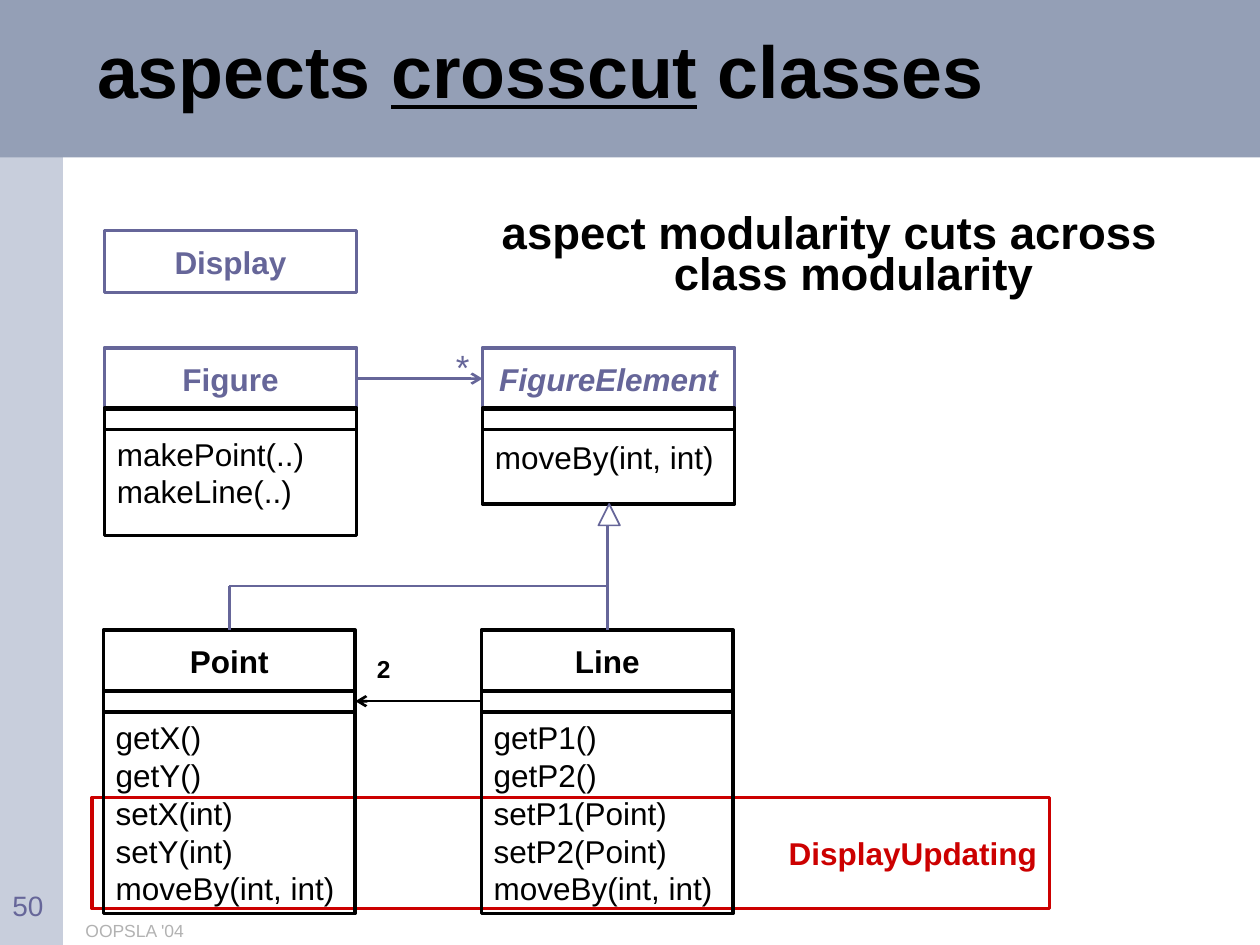
from lxml.etree import SubElement
from pptx import Presentation
from pptx.dml.color import RGBColor
from pptx.enum.shapes import MSO_CONNECTOR, MSO_SHAPE
from pptx.enum.text import MSO_ANCHOR as Anchor, MSO_AUTO_SIZE, PP_ALIGN as Align
from pptx.oxml.ns import qn
from pptx.util import Inches, Pt

BLACK = RGBColor(0x00, 0x00, 0x00)
WHITE = RGBColor(0xFF, 0xFF, 0xFF)
PURPLE = RGBColor(0x66, 0x66, 0x99)
RED = RGBColor(0xCC, 0x00, 0x00)
GREY = RGBColor(0xB2, 0xB2, 0xB2)
HEADER = RGBColor(0x94, 0x9F, 0xB6)
SIDEBAR = RGBColor(0xC8, 0xCE, 0xDC)

# Content
TITLE = [("aspects ", False), ("crosscut", True), (" classes", False)]
MESSAGE = "aspect modularity cuts across class modularity"
ASPECT = "DisplayUpdating"
# name: column, row, colour of the name, italic, methods
CLASSES = {
    "Display": (0, 0, PURPLE, False, []),
    "Figure": (0, 1, PURPLE, False, ["makePoint(..)", "makeLine(..)"]),
    "FigureElement": (1, 1, PURPLE, True, ["moveBy(int, int)"]),
    "Point": (0, 2, BLACK, False,
              ["getX()", "getY()", "setX(int)", "setY(int)", "moveBy(int, int)"]),
    "Line": (1, 2, BLACK, False,
             ["getP1()", "getP2()", "setP1(Point)", "setP2(Point)", "moveBy(int, int)"]),
}
# text, place, format values
LABELS = [
    ("*", (3.52, 2.69, 0.25, 0.44), dict(size=Pt(20), color=PURPLE, align=Align.CENTER)),
    ("2", (2.88, 5.14, 0.33, 0.34), dict(size=Pt(14), bold=True, align=Align.CENTER)),
    ("OOPSLA '04", (0.58, 7.25, 5.58, 0.25), dict(size=Pt(10), color=GREY)),
    ("50", (0, 7, 0.67, 0.25), dict(size=Pt(16), color=PURPLE)),
]

# Grid: class width and column pitch; per row left, top, methods offset
CLASS_W, COLUMN, NAME_H, STRIP_H = 2, 3, 0.49, 0.17
ROWS = [(0.83, 1.83, 0), (0.83, 2.76, 0.49), (0.82, 5, 0.65)]
METHODS_H = {1: 0.75, 2: 1, 5: 1.6}
JOIN_Y = 4.65

prs = Presentation()
prs.slide_width, prs.slide_height = Inches(10), Inches(7.5)
slide = prs.slides.add_slide(prs.slide_layouts[1])
shapes = slide.shapes


def inches(lengths):
    return [Inches(length) for length in lengths]


def style_run(run, color=BLACK, **values):
    run.font.name = "Arial"
    run.font.color.rgb = color
    for key, value in values.items():
        setattr(run.font, key, value)


def write(shape, text, anchor=Anchor.TOP, align=Align.LEFT, **font):
    frame = shape.text_frame
    frame.word_wrap = True
    frame.auto_size = MSO_AUTO_SIZE.NONE
    frame.vertical_anchor = anchor
    paragraph = frame.paragraphs[0]
    paragraph.text = text
    paragraph.alignment = align
    for run in paragraph.runs:
        style_run(run, **font)
    return paragraph


def add_box(place, line=None, fill=None, width=2, kind=MSO_SHAPE.RECTANGLE):
    box = shapes.add_shape(kind, *inches(place))
    box.shadow.inherit = False
    if fill is None:
        box.fill.background()
    else:
        box.fill.solid()
        box.fill.fore_color.rgb = fill
    if line is None:
        box.line.fill.background()
    else:
        box.line.color.rgb = line
        box.line.width = Pt(width)
    return box


def add_line(start, end, color=PURPLE, begin=None, finish=None, arrow=False):
    line = shapes.add_connector(MSO_CONNECTOR.STRAIGHT, *inches(start + end))
    if begin:
        line.begin_connect(*begin)
    if finish:
        line.end_connect(*finish)
    line.line.color.rgb = color
    line.line.width = Pt(1.5)
    if arrow:
        SubElement(line.line._get_or_add_ln(), qn("a:tailEnd"), type="arrow")
    SubElement(line._element.spPr, qn("a:effectLst"))


# Header band and sidebar, behind the placeholders
bars = [((0, 0, 0.5, 7.5), SIDEBAR), ((0, 0, 10, 1.25), HEADER)]
for depth, (place, color) in enumerate(bars, start=2):
    shapes._spTree.insert(depth, add_box(place, fill=color)._element)

# Title and message
title, message = slide.placeholders
for holder, place in ((title, (0.67, 0.08, 8.33, 1.05)), (message, (3.5, 1.67, 6.17, 0.83))):
    holder.left, holder.top, holder.width, holder.height = inches(place)

heading = write(title, "", Anchor.MIDDLE)
heading.line_spacing = 0.85
for words, underlined in TITLE:
    run = heading.add_run()
    run.text = words
    style_run(run, size=Pt(42), bold=True, underline=underlined)

statement = write(message, MESSAGE, align=Align.CENTER, size=Pt(26), bold=True)
statement.line_spacing = 0.75
statement.space_before = Pt(0)
properties = statement._p.get_or_add_pPr()
properties.set("marL", str(Inches(0.38)))
properties.set("indent", str(-Inches(0.38)))
SubElement(properties, qn("a:buNone"))

# Aspect that cuts across the classes
write(add_box((0.73, 6.33, 7.6, 0.88), RED), ASPECT, Anchor.MIDDLE, Align.RIGHT,
      size=Pt(18), color=RED, bold=True)

# Classes: name, methods and the empty attribute strip
names, strips = {}, {}
for name, (column, row, color, italic, methods) in CLASSES.items():
    left, top, offset = ROWS[row]
    left += column * COLUMN
    names[name] = add_box((left, top, CLASS_W, NAME_H), color)
    write(names[name], name, Anchor.MIDDLE, Align.CENTER,
          size=Pt(18), color=color, bold=True, italic=italic)
    if methods:
        body = add_box((left, top + offset, CLASS_W, METHODS_H[len(methods)]), BLACK)
        write(body, "\n".join(methods), Anchor.MIDDLE, size=Pt(18))
        strips[name] = add_box((left, top + 0.48, CLASS_W, STRIP_H), BLACK)

# Associations
add_line((2.83, 3), (3.83, 3), begin=(names["Figure"], 3),
         finish=(names["FigureElement"], 1), arrow=True)
add_line((3.82, 5.57), (2.82, 5.57), BLACK, begin=(strips["Line"], 1),
         finish=(strips["Point"], 3), arrow=True)

# Inheritance tree
point_x, line_x = 1.82, 4.82
for child, x in (("Point", point_x), ("Line", line_x)):
    add_line((x, 5), (x, JOIN_Y), begin=(names[child], 0))
add_line((point_x, JOIN_Y), (line_x, JOIN_Y))
add_line((line_x, JOIN_Y), (line_x, 4.15))
add_box((4.75, 4, 0.17, 0.17), PURPLE, WHITE, 1, MSO_SHAPE.ISOSCELES_TRIANGLE)

# Multiplicities, footer and slide number
for text, place, values in LABELS:
    write(shapes.add_textbox(*inches(place)), text, **values)

prs.save("out.pptx")
